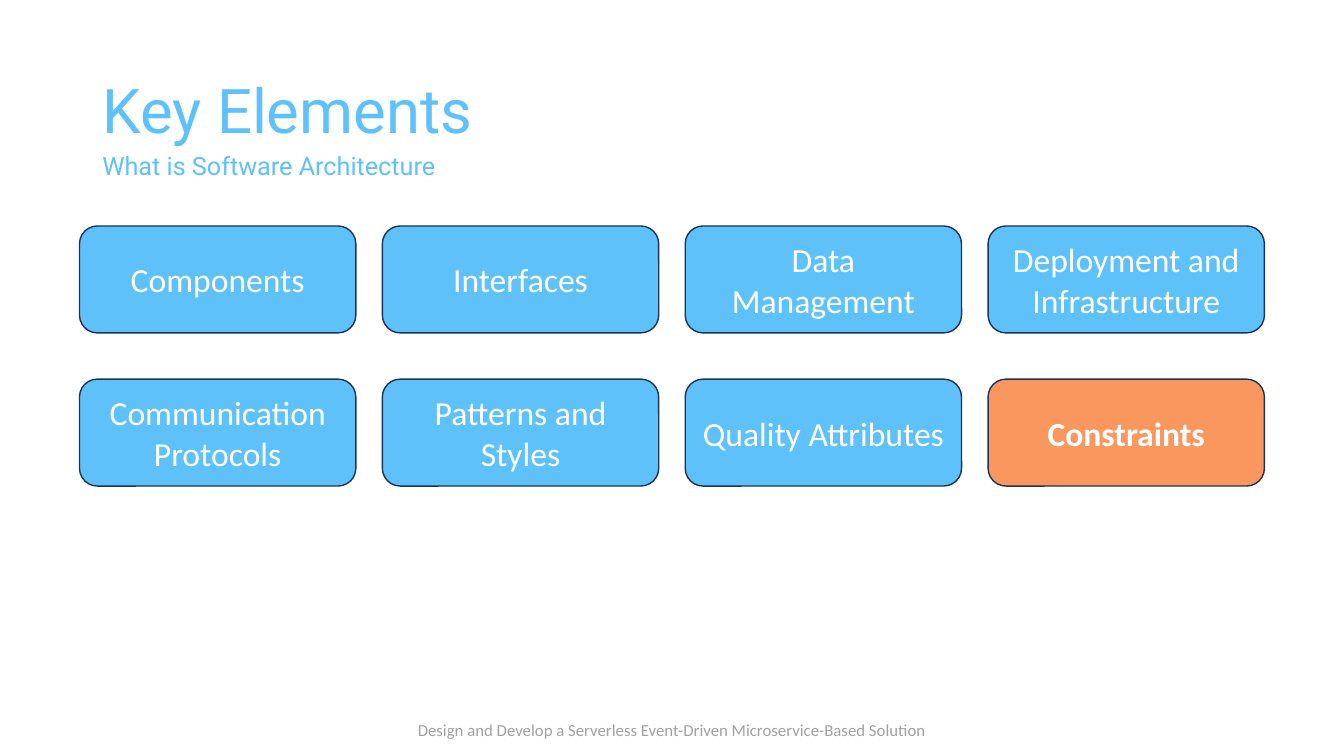
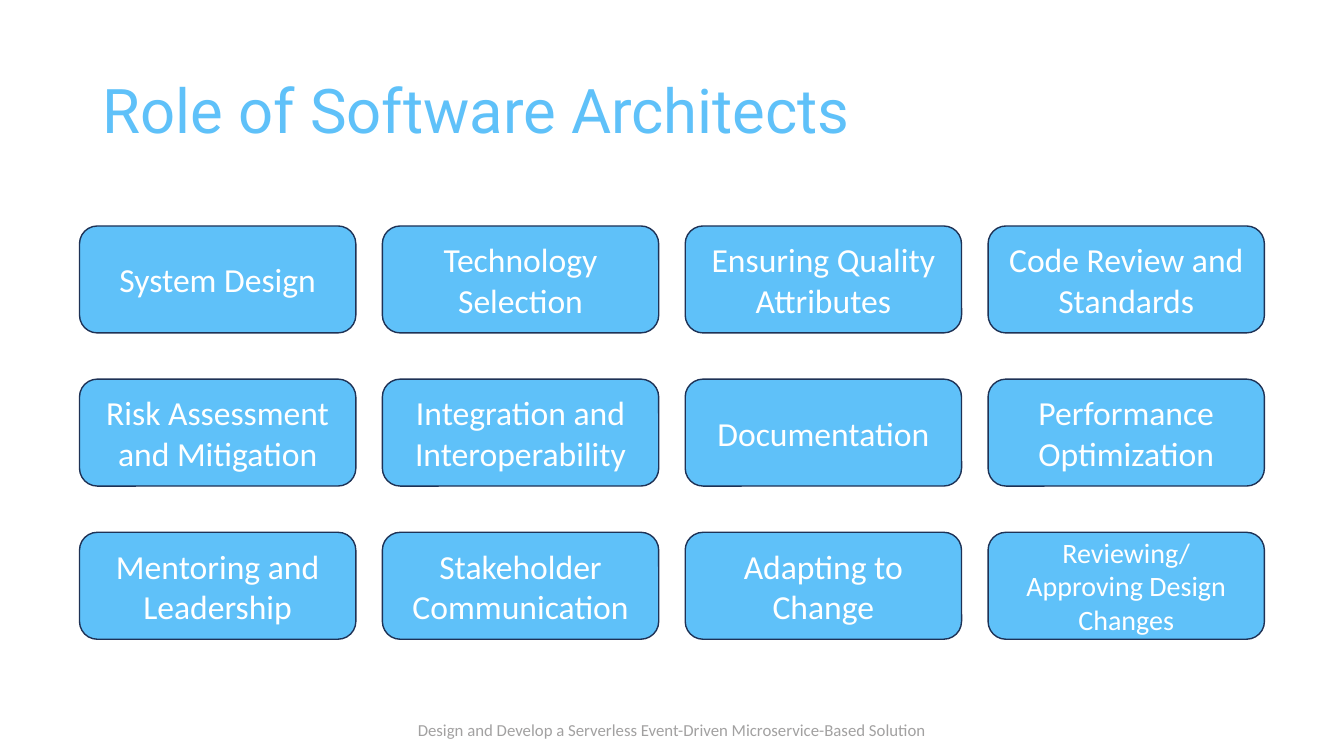
import pptx
import pptx.dml.color
import pptx.enum.shapes
import pptx.enum.text
import pptx.util

Pt = pptx.util.Pt
ALIGN = pptx.enum.text.PP_ALIGN
ANCHOR = pptx.enum.text.MSO_ANCHOR

COLORS = {
    "sky": "5FC1F9",
    "orange": "F9975F",
    "navy": "1E3256",
    "gray": "A2A1A1",
    "white": "FFFFFF",
}
HEADING_FONT = "Roboto"
BODY_FONT = "Calibri"

# Boxes are left, top, width, height in points
SLIDE_SIZE = (960, 540)
TITLE_BOX = (66, 28.8, 828, 104.4)
SUBTITLE_BOX = (66, 103.7, 295.2, 29)
FOOTER_BOX = (289.2, 510.5, 381.6, 21.8)
GRID_BOX = (56.8, 161.4, 846.4, 295.2)
GRID_COLUMNS, GRID_ROWS = 4, 3
CARD_SIZE = (197.4, 76.4)

FOOTER = "Design and Develop a Serverless Event-Driven Microservice-Based Solution"

KEY_ELEMENTS = [
    "Components", "Interfaces", "Data Management", "Deployment and Infrastructure",
    "Communication Protocols", "Patterns and Styles", "Quality Attributes", "Constraints",
]
ARCHITECT_ROLES = [
    "System Design", "Technology Selection",
    "Ensuring Quality Attributes", "Code Review and Standards",
    "Risk Assessment and Mitigation", "Integration and Interoperability",
    "Documentation", "Performance Optimization",
    "Mentoring and Leadership", "Stakeholder Communication",
    "Adapting to Change", "Reviewing/ Approving Design Changes",
]


def rgb(name):
    return pptx.dml.color.RGBColor.from_string(COLORS[name])


def points(box):
    return [Pt(length) for length in box]


def write_text(shape, text, *, size, color, font=BODY_FONT, bold=False,
               align=ALIGN.LEFT, anchor=ANCHOR.TOP, wrap=True, line_spacing=1.0):
    frame = shape.text_frame
    frame.word_wrap = wrap
    frame.auto_size = pptx.enum.text.MSO_AUTO_SIZE.NONE
    frame.vertical_anchor = anchor
    paragraph = frame.paragraphs[0]
    paragraph.alignment = align
    paragraph.line_spacing = line_spacing
    run = paragraph.add_run()
    run.text = text
    run.font.name = font
    run.font.size = Pt(size)
    run.font.bold = bold
    run.font.color.rgb = rgb(color)


def add_title(slide, box, text):
    title = slide.shapes.title
    title.left, title.top, title.width, title.height = points(box)
    write_text(title, text, size=44, color="sky", font=HEADING_FONT,
               anchor=ANCHOR.MIDDLE, line_spacing=0.9)


def add_label(slide, box, text, **text_format):
    label = slide.shapes.add_textbox(*points(box))
    write_text(label, text, wrap=False, **text_format)


def add_card(slide, box, text, fill="sky", size=24, bold=False):
    card = slide.shapes.add_shape(
        pptx.enum.shapes.MSO_SHAPE.ROUNDED_RECTANGLE, *points(box))
    card.shadow.inherit = False
    card.fill.solid()
    card.fill.fore_color.rgb = rgb(fill)
    card.line.color.rgb = rgb("navy")
    card.line.width = Pt(1)
    write_text(card, text, size=size, color="white", bold=bold,
               align=ALIGN.CENTER, anchor=ANCHOR.MIDDLE)


def add_card_grid(slide, box, labels, styles):
    """Fill the grid row by row; styles holds the formats of special cards."""
    left, top, width, height = box
    card_width, card_height = CARD_SIZE
    column_step = (width - card_width) / (GRID_COLUMNS - 1)
    row_step = (height - card_height) / (GRID_ROWS - 1)
    for index, label in enumerate(labels):
        row, column = divmod(index, GRID_COLUMNS)
        card_box = (left + column * column_step, top + row * row_step,
                    card_width, card_height)
        add_card(slide, card_box, label, **styles.get(label, {}))


def add_grid_slide(presentation, title, labels, styles, subtitle=None):
    title_only = presentation.slide_layouts.get_by_name("Title Only")
    slide = presentation.slides.add_slide(title_only)
    add_label(slide, FOOTER_BOX, FOOTER, size=12, color="gray", align=ALIGN.CENTER)
    add_title(slide, TITLE_BOX, title)
    add_card_grid(slide, GRID_BOX, labels, styles)
    if subtitle:
        add_label(slide, SUBTITLE_BOX, subtitle, size=18, color="sky", font=HEADING_FONT)


def main():
    presentation = pptx.Presentation()
    presentation.slide_width, presentation.slide_height = points(SLIDE_SIZE)

    # Key elements, with the current topic highlighted
    add_grid_slide(presentation, "Key Elements", KEY_ELEMENTS,
                   {"Constraints": {"fill": "orange", "bold": True}},
                   subtitle="What is Software Architecture")

    # Roles, with smaller type for the longest label
    add_grid_slide(presentation, "Role of Software Architects", ARCHITECT_ROLES,
                   {ARCHITECT_ROLES[-1]: {"size": 20}})

    presentation.save("out.pptx")


if __name__ == "__main__":
    main()
